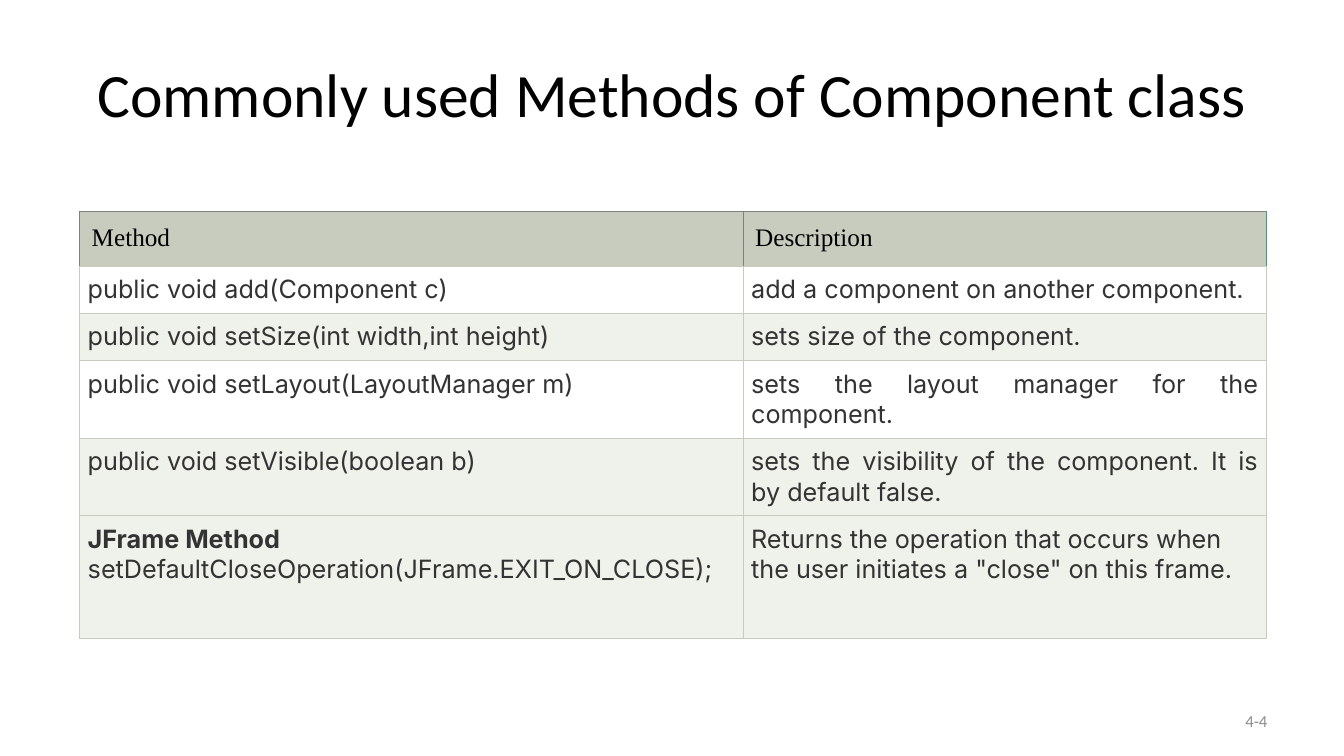
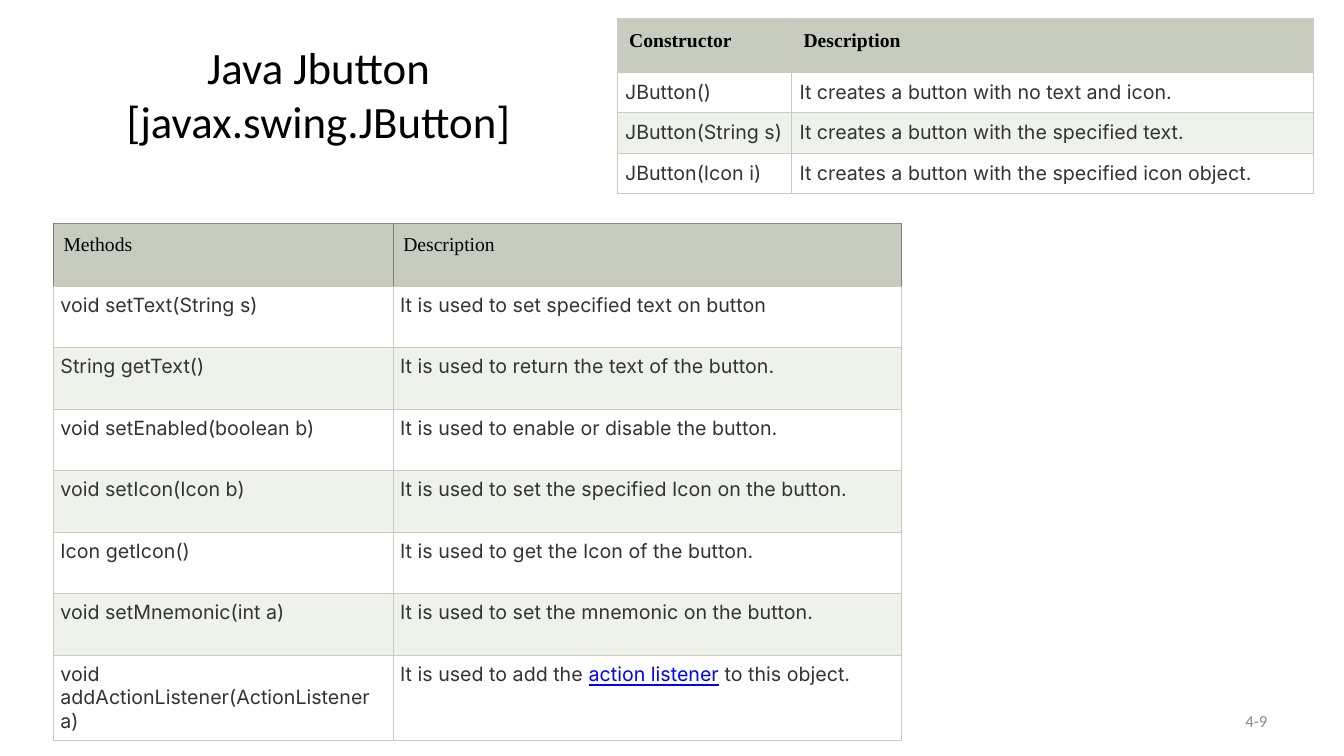
"""Build two slides on Swing component and button methods."""
from pptx import Presentation
from pptx.dml.color import RGBColor
from pptx.enum.text import MSO_ANCHOR, PP_ALIGN
from pptx.oxml import parse_xml
from pptx.oxml.ns import nsdecls
from pptx.util import Inches, Pt

BLACK = RGBColor(0x00, 0x00, 0x00)
INK = RGBColor(0x33, 0x33, 0x33)
MUTED = RGBColor(0x8C, 0x8C, 0x8C)
WHITE = RGBColor(0xFF, 0xFF, 0xFF)
PALE = RGBColor(0xEF, 0xF1, 0xEB)
SAGE = RGBColor(0xC7, 0xCC, 0xBE)
GRAY = RGBColor(0x80, 0x80, 0x80)
TEAL = RGBColor(0x30, 0xA5, 0x7A)
VIOLET = RGBColor(0x80, 0x81, 0xA7)
SAND = RGBColor(0xD0, 0xCA, 0xC5)
BLUE = RGBColor(0x00, 0x00, 0xFF)

HEAD, BODY, TITLE = "Times New Roman", "Inter", "Calibri"
LINK = "action listener"
LABEL = "JFrame Method"

COMMON = {
    "at": (0.79, 2.1), "cols": (6.58, 5.19),
    "heights": (0.53, 0.47, 0.47, 0.77, 0.77, 1.22),
    "size": 18, "bold": False, "pads": (0.12, 0.08),
    "edges": (GRAY, GRAY, TEAL), "pale": (2, 4, 5), "left": (5, 1),
    "rows": [
        ("Method", "Description"),
        ("public void add(Component c)", "add a component on another component."),
        ("public void setSize(int width,int height)", "sets size of the component."),
        ("public void setLayout(LayoutManager m)",
         "sets the layout manager for the component."),
        ("public void setVisible(boolean b)",
         "sets the visibility of the component. It is by default false."),
        (LABEL + "\nsetDefaultCloseOperation(JFrame.EXIT_ON_CLOSE);",
         "Returns the operation that occurs when the user initiates "
         'a "close" on this frame.'),
    ],
}
BUILD = {
    "at": (6.12, 0.18), "cols": (1.73, 5.18), "heights": (0.54, 0.4, 0.4, 0.4),
    "size": 14, "bold": True, "pads": (0.12, 0.08),
    "edges": (SAND, SAND, SAND), "pale": (2,), "left": None,
    "rows": [
        ("Constructor", "Description"),
        ("JButton()", "It creates a button with no text and icon."),
        ("JButton(String s)", "It creates a button with the specified text."),
        ("JButton(Icon i)", "It creates a button with the specified icon object."),
    ],
}
BUTTON = {
    "at": (0.53, 2.22), "cols": (3.37, 5.04),
    "heights": (0.62,) + (0.61,) * 6 + (0.85,),
    "size": 14, "bold": False, "pads": (0.1, 0.07),
    "edges": (GRAY, VIOLET, GRAY), "pale": (2, 4, 6), "left": None,
    "rows": [
        ("Methods", "Description"),
        ("void setText(String s)", "It is used to set specified text on button"),
        ("String getText()", "It is used to return the text of the button."),
        ("void setEnabled(boolean b)", "It is used to enable or disable the button."),
        ("void setIcon(Icon b)", "It is used to set the specified Icon on the button."),
        ("Icon getIcon()", "It is used to get the Icon of the button."),
        ("void setMnemonic(int a)", "It is used to set the mnemonic on the button."),
        ("void addActionListener(ActionListener a)",
         f"It is used to add the {LINK} to this object."),
    ],
}
SLIDES = [
    ("Commonly used Methods of Component class", 12, 44, "4-4", [COMMON]),
    ("Java Jbutton\n[javax.swing.JButton]", 4.98, 32, "4-9", [BUILD, BUTTON]),
]


def style(para, face, size, color, align, bold=False):
    para.alignment = align
    font = para.font
    font.name, font.size, font.bold = face, Pt(size), bold
    font.color.rgb = color


def add_text(slide, text, box, size, color, align):
    frame = slide.shapes.add_textbox(*map(Inches, box)).text_frame
    frame.word_wrap = True
    frame.vertical_anchor = MSO_ANCHOR.MIDDLE
    para = frame.paragraphs[0]
    para.text = text
    style(para, TITLE, size, color, align)


def set_edges(cell, colors):
    props = cell._tc.get_or_add_tcPr()
    for spot, (side, color) in enumerate(zip("LRTB", colors)):
        props.insert(spot, parse_xml(
            f'<a:ln{side} {nsdecls("a")} w="9525"><a:solidFill>'
            f'<a:srgbClr val="{color}"/></a:solidFill></a:ln{side}>'))


def fill_text(cell, text, face, size, color, align, bold):
    frame = cell.text_frame
    frame.text = text
    for para in frame.paragraphs:
        line = para.text
        style(para, face, size, color, align, bold or line == LABEL)
        if LINK in line:
            start, end = line.split(LINK)
            para.runs[0].text = start
            link = para.add_run()
            link.text = LINK
            link.font.color.rgb = BLUE
            link.font.underline = True
            para.add_run().text = end


def add_grid(slide, data):
    rows, cols, heights = data["rows"], data["cols"], data["heights"]
    size = sum(cols), sum(heights)
    table = slide.shapes.add_table(
        len(rows), len(cols), *map(Inches, data["at"] + size)).table
    for col, width in zip(table.columns, cols):
        col.width = Inches(width)
    for row, height in zip(table.rows, heights):
        row.height = Inches(height)
    side, top, right = data["edges"]
    for i, row in enumerate(rows):
        for j, text in enumerate(row):
            cell = table.cell(i, j)
            pad = Inches(data["pads"][i > 0])
            cell.margin_left = cell.margin_right = pad
            cell.margin_top = cell.margin_bottom = pad
            cell.fill.solid()
            if i == 0:
                cell.fill.fore_color.rgb = SAGE
                last = j == len(row) - 1
                set_edges(cell, (side, right if last else side, top, SAGE))
                fill_text(cell, text, HEAD, data["size"], BLACK,
                          PP_ALIGN.LEFT, data["bold"])
            else:
                cell.fill.fore_color.rgb = PALE if i in data["pale"] else WHITE
                set_edges(cell, (SAGE,) * 4)
                align = PP_ALIGN.LEFT if (i, j) == data["left"] else PP_ALIGN.JUSTIFY
                fill_text(cell, text, BODY, data["size"], INK, align, False)


def main():
    deck = Presentation()
    deck.slide_width, deck.slide_height = Inches(13.33), Inches(7.5)
    for title, width, size, number, grids in SLIDES:
        slide = deck.slides.add_slide(deck.slide_layouts[6])
        add_text(slide, title, (0.67, 0.3, width, 1.25), size, BLACK, PP_ALIGN.CENTER)
        add_text(slide, number, (9.56, 6.95, 3.11, 0.4), 12, MUTED, PP_ALIGN.RIGHT)
        for data in grids:
            add_grid(slide, data)
    deck.save("out.pptx")


if __name__ == "__main__":
    main()
